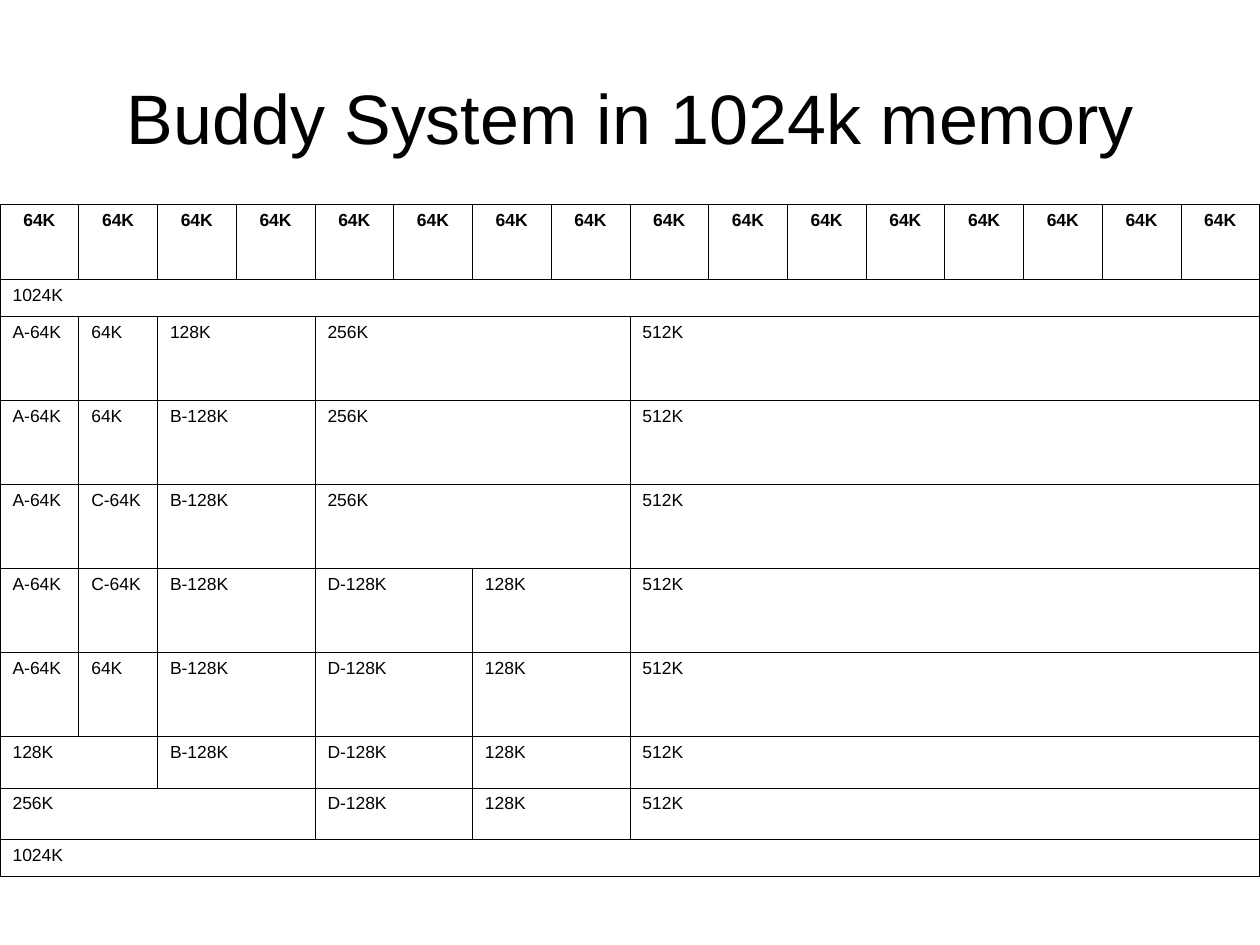
import pptx
import pptx.dml.color
import pptx.enum.text
import pptx.oxml
import pptx.oxml.ns
import pptx.util

Inches = pptx.util.Inches
Pt = pptx.util.Pt
ALIGN = pptx.enum.text.PP_ALIGN
ANCHOR = pptx.enum.text.MSO_ANCHOR

BLACK = pptx.dml.color.RGBColor(0x00, 0x00, 0x00)
WHITE = pptx.dml.color.RGBColor(0xFF, 0xFF, 0xFF)

SLIDE_WIDTH = Inches(10)
UNIT_KB = 64
UNIT_COUNT = 16

# Memory after each request or release; a block's size gives its column span
MEMORY_STATES = [
    ["1024K"],
    ["A-64K", "64K", "128K", "256K", "512K"],
    ["A-64K", "64K", "B-128K", "256K", "512K"],
    ["A-64K", "C-64K", "B-128K", "256K", "512K"],
    ["A-64K", "C-64K", "B-128K", "D-128K", "128K", "512K"],
    ["A-64K", "64K", "B-128K", "D-128K", "128K", "512K"],
    ["128K", "B-128K", "D-128K", "128K", "512K"],
    ["256K", "D-128K", "128K", "512K"],
    ["1024K"],
]
HEADER = ["64K"] * UNIT_COUNT
TALL = Inches(2) // 3
ROW_HEIGHTS = [Inches(0.6), Inches(0.29)] + [TALL] * 5 + [
    Inches(0.41), Inches(0.41), Inches(0.29)]


def block_span(label):
    """Number of unit columns that a memory block covers."""
    return int(label.split("-")[-1].rstrip("K")) // UNIT_KB


class SlideBuilder:
    font_name = "Arial"
    title_size = Pt(40)
    cell_size = Pt(10)
    border_width = Pt(0.34)
    hanging_indent = Inches(0.38)

    def __init__(self, slide):
        self.slide = slide
        slide.background.fill.solid()
        slide.background.fill.fore_color.rgb = WHITE

    def add_run(self, paragraph, text, size, bold=False):
        run = paragraph.add_run()
        run.text = text
        run.font.name = self.font_name
        run.font.size = size
        run.font.bold = bold
        run.font.color.rgb = BLACK

    def add_title(self, text, left, top, width, height):
        shape = self.slide.shapes.add_textbox(left, top, width, height)
        frame = shape.text_frame
        frame.word_wrap = True
        frame.vertical_anchor = ANCHOR.MIDDLE
        paragraph = frame.paragraphs[0]
        paragraph.alignment = ALIGN.CENTER
        self.add_run(paragraph, text, self.title_size)

    def style_cell(self, cell):
        properties = cell._tc.get_or_add_tcPr()
        for side in ("lnL", "lnR", "lnT", "lnB"):
            properties.append(pptx.oxml.parse_xml(
                f'<a:{side} {pptx.oxml.ns.nsdecls("a")} w="{self.border_width}">'
                f'<a:solidFill><a:srgbClr val="{BLACK}"/></a:solidFill>'
                f'</a:{side}>'))
        cell.fill.background()
        cell.margin_left = cell.margin_right = Inches(0.1)
        cell.margin_top = cell.margin_bottom = Inches(0.05)

    def fill_cell(self, cell, label, is_header):
        paragraph = cell.text_frame.paragraphs[0]
        paragraph.alignment = ALIGN.CENTER if is_header else ALIGN.LEFT
        properties = paragraph._p.get_or_add_pPr()
        properties.set("marL", str(self.hanging_indent))
        properties.set("indent", str(-self.hanging_indent))
        self.add_run(paragraph, label, self.cell_size, is_header)

    def add_memory_table(self, rows, row_heights, left, top, width):
        table = self.slide.shapes.add_table(
            len(rows), UNIT_COUNT, left, top, width, sum(row_heights)).table
        table.first_row = table.horz_banding = False
        for column in table.columns:
            column.width = width // UNIT_COUNT
        for row, height in zip(table.rows, row_heights):
            row.height = height
        for cell in table.iter_cells():
            self.style_cell(cell)
        for row_index, labels in enumerate(rows):
            column_index = 0
            for label in labels:
                span = block_span(label)
                cell = table.cell(row_index, column_index)
                if span > 1:
                    cell.merge(table.cell(row_index, column_index + span - 1))
                self.fill_cell(cell, label, row_index == 0)
                column_index += span


def main():
    presentation = pptx.Presentation()
    presentation.slide_width = SLIDE_WIDTH
    presentation.slide_height = Inches(7.5)
    slide = presentation.slides.add_slide(presentation.slide_layouts[6])
    builder = SlideBuilder(slide)

    # Title
    builder.add_title("Buddy System in 1024k memory",
                      Inches(0.5), Inches(0.3), Inches(9), Inches(1.25))

    # Memory layout over time
    builder.add_memory_table([HEADER] + MEMORY_STATES, ROW_HEIGHTS,
                             Inches(0), Inches(1.62), SLIDE_WIDTH)

    presentation.save("out.pptx")


if __name__ == "__main__":
    main()
